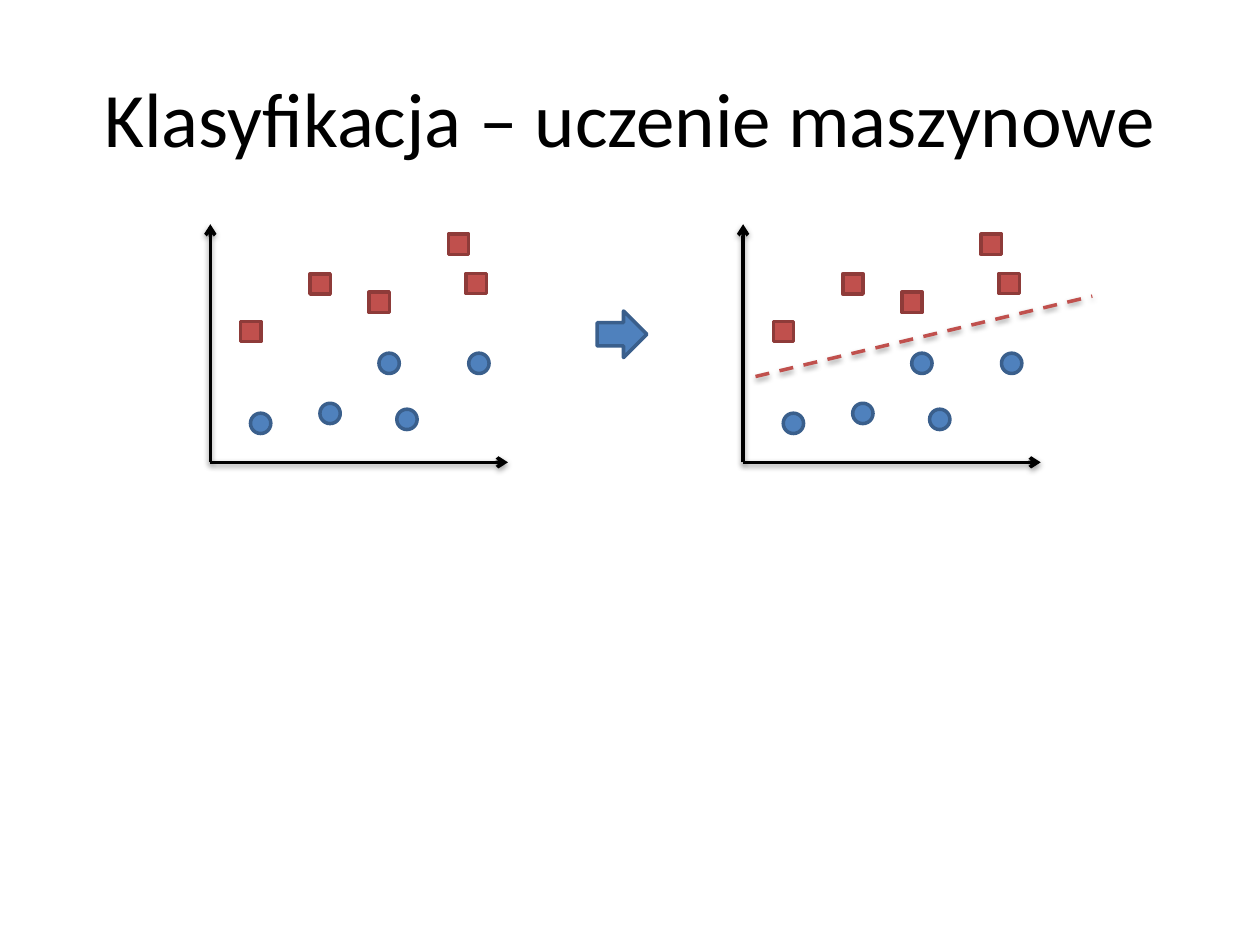
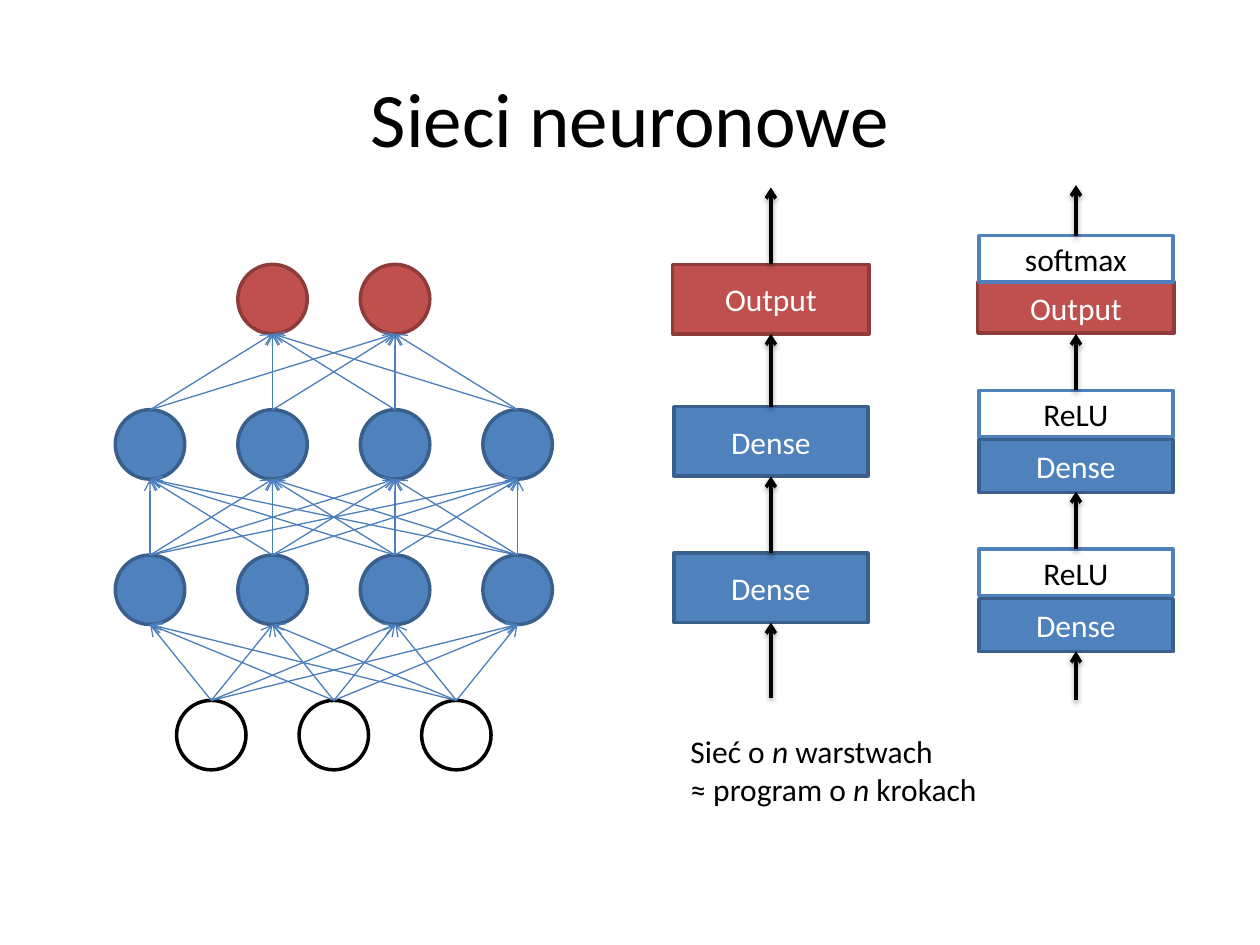
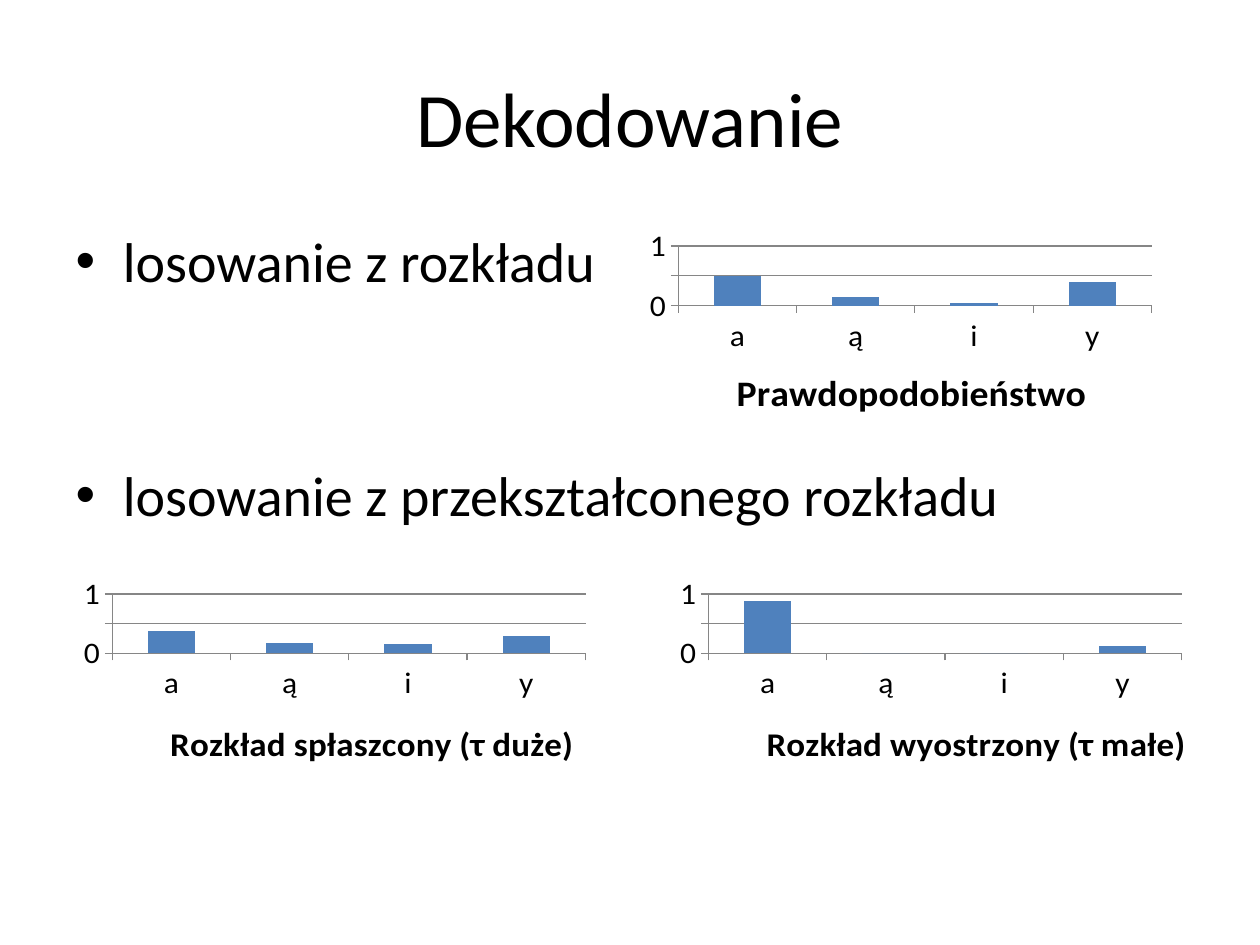
from pptx import Presentation
from pptx.chart.data import CategoryChartData
from pptx.dml.color import RGBColor
from pptx.enum.chart import XL_CHART_TYPE as CT, XL_TICK_MARK as TM
from pptx.enum.dml import MSO_LINE
from pptx.enum.shapes import MSO_CONNECTOR, MSO_SHAPE as SH
from pptx.enum.text import MSO_ANCHOR, PP_ALIGN
from pptx.oxml.ns import qn
from pptx.util import Cm, Pt
from lxml.etree import SubElement

FONT = "Calibri"
BLACK, WHITE, BLUE, RED = "000000", "FFFFFF", "4F81BD", "C0504D"
DARK_BLUE, DARK_RED, EDGE, GREY = "3A5F8C", "8E3B39", "4B7EBC", "868686"
STYLES = {
    "blue": (BLUE, DARK_BLUE, WHITE),
    "red": (RED, DARK_RED, WHITE),
    "input": (WHITE, BLACK, BLACK),
    "activation": (WHITE, BLUE, BLACK),
}

PLOT_ORIGINS = [(4.24, 9.32), (14.98, 9.32)]
AXIS_ENDS = [(6, 0), (0, -4.8)]
MARK = 0.41
CIRCLES = [(0.81, -0.99), (2.21, -1.19), (3.4, -2.2), (3.76, -1.07), (5.21, -2.2)]
SQUARES = [(0.61, -2.84), (2.01, -3.8), (3.2, -3.43), (4.8, -4.6), (5.16, -3.81)]
BOUNDARY = (0.25, -1.73), (7.04, -3.35)

LAYERS = [(2, "red"), (4, "blue"), (4, "blue"), (3, "input")]
NODE, NODE_STEP, LAYER_STEP = 1.4, 2.47, 2.93
NET_MIDDLE, NET_TOP = 6.73, 5.33

CHAINS = [
    {"middle": 15.54,
     "blocks": [("Dense", "blue", 8.2, 3.91, 1.4), ("Dense", "blue", 11.15, 3.91, 1.4),
                ("Output", "red", 5.33, 3.96, 1.4)],
     "arrows": [(14.07, 12.55), (11.15, 9.6), (8.2, 6.73), (5.33, 3.78)]},
    {"middle": 21.69,
     "blocks": [("ReLU", "activation", 11.07, 3.91, 0.94), ("Dense", "blue", 12.07, 3.91, 1.07),
                ("ReLU", "activation", 7.87, 3.91, 0.94), ("Dense", "blue", 8.86, 3.91, 1.07),
                ("Output", "red", 5.69, 3.96, 1.02), ("softmax", "activation", 4.75, 3.91, 0.94)],
     "arrows": [(14.12, 13.13), (11.07, 9.91), (7.87, 6.73), (4.75, 3.73)]},
]
NOTE = [[("Sieć o ", False), ("n", True), (" warstwach", False)],
        [("≈ program o ", False), ("n", True), (" krokach", False)]]

BULLETS = [("losowanie z rozkładu", None), ("losowanie z przekształconego rozkładu", 95)]
LETTERS = ["a", "ą", "i", "y"]
CHARTS = [
    ("Prawdopodobieństwo", "Prawdopodobieństwo", 21.6, 0.74, 12.5, 4.11, (0.5, 0.15, 0.05, 0.4)),
    ("Rozkład spłaszcony (τ duże)", "Series 1", 20, 0.77, 1.09, 11.13, (0.37, 0.18, 0.15, 0.3)),
    ("Rozkład wyostrzony (τ małe)", "Series 1", 20, 0.77, 13.11, 11.13, (0.88, 0, 0, 0.12)),
]
CHART_W, CHART_H = 11.07, 4.5


def rgb(value):
    return RGBColor.from_string(value)


def set_font(font, size, color=BLACK, **extra):
    for name, value in {"name": FONT, "size": Pt(size), **extra}.items():
        setattr(font, name, value)
    font.color.rgb = rgb(color)


def add_slide(prs, layout, title):
    s = prs.slides.add_slide(prs.slide_layouts[layout])
    tf = s.shapes.title.text_frame
    tf.text = title
    tf.vertical_anchor = MSO_ANCHOR.MIDDLE
    p = tf.paragraphs[0]
    p.alignment = PP_ALIGN.CENTER
    set_font(p.runs[0].font, 44)
    return s


def add_block(shapes, kind, x, y, w, h, style, text=""):
    fill, line, color = STYLES[style]
    sp = shapes.add_shape(kind, *map(Cm, (x, y, w, h)))
    sp.shadow.inherit = False
    sp.fill.solid()
    sp.fill.fore_color.rgb = rgb(fill)
    sp.line.color.rgb = rgb(line)
    sp.line.width = Pt(2)
    if text:
        tf = sp.text_frame
        tf.vertical_anchor = MSO_ANCHOR.MIDDLE
        p = tf.paragraphs[0]
        p.alignment = PP_ALIGN.CENTER
        r = p.add_run()
        r.text = text
        set_font(r.font, 18, color)


def add_line(shapes, start, end, color=BLACK, width=2, head=True, dash=None, shadow=True):
    c = shapes.add_connector(MSO_CONNECTOR.STRAIGHT, *map(Cm, (*start, *end)))
    c.line.color.rgb = rgb(color)
    c.line.width = Pt(width)
    if dash:
        c.line.dash_style = dash
    props = c.element.spPr
    if head:
        SubElement(props.find(qn("a:ln")), qn("a:tailEnd"), type="arrow")
    effects = SubElement(props, qn("a:effectLst"))
    if shadow:
        outer = SubElement(effects, qn("a:outerShdw"), blurRad="40000", dist="20000",
                           dir="5400000", rotWithShape="0")
        tint = SubElement(outer, qn("a:srgbClr"), val=BLACK)
        SubElement(tint, qn("a:alpha"), val="38000")


def add_scatter(s, origin, boundary=None):
    shapes = s.shapes.add_group_shape().shapes

    def place(offset):
        return origin[0] + offset[0], origin[1] + offset[1]

    for end in AXIS_ENDS:
        add_line(shapes, origin, place(end))
    for kind, style, marks in ((SH.OVAL, "blue", CIRCLES), (SH.RECTANGLE, "red", SQUARES)):
        for mark in marks:
            add_block(shapes, kind, *place(mark), MARK, MARK, style)
    if boundary:
        add_line(shapes, *map(place, boundary), color=RED, head=False, dash=MSO_LINE.DASH)


def add_network(s):
    layers = []
    for row, (count, style) in enumerate(LAYERS):
        top = NET_TOP + row * LAYER_STEP
        middles = [NET_MIDDLE + (i - (count - 1) / 2) * NODE_STEP for i in range(count)]
        layers.append((top, middles))
        shapes = s.shapes.add_group_shape().shapes
        for x in middles:
            add_block(shapes, SH.OVAL, x - NODE / 2, top, NODE, NODE, style)
    for (upper, targets), (lower, sources) in zip(layers, layers[1:]):
        for x in sources:
            for target in targets:
                add_line(s.shapes, (x, lower), (target, upper + NODE), EDGE, 0.75, shadow=False)


def add_chain(s, chain):
    shapes = s.shapes.add_group_shape().shapes
    middle = chain["middle"]
    for text, style, y, w, h in chain["blocks"]:
        add_block(shapes, SH.RECTANGLE, middle - w / 2, y, w, h, style, text)
    for start, end in chain["arrows"]:
        add_line(shapes, (middle, start), (middle, end))


def add_note(s):
    tf = s.shapes.add_textbox(*map(Cm, (13.67, 14.63, 6.5, 1.8))).text_frame
    tf.word_wrap = True
    p = tf.paragraphs[0]
    for i, line in enumerate(NOTE):
        if i:
            p.add_line_break()
        for text, italic in line:
            r = p.add_run()
            r.text = text
            set_font(r.font, 18, italic=italic)


def set_layout(parent, index, **values):
    old = parent.find(qn("c:layout"))
    if old is not None:
        parent.remove(old)
    layout = SubElement(parent, qn("c:layout"))
    parent.insert(index, layout)
    manual = SubElement(layout, qn("c:manualLayout"))
    for name, value in values.items():
        SubElement(manual, qn("c:" + name), val=str(value))


def add_bar_chart(s, title, series, size, title_y, x, y, values):
    data = CategoryChartData()
    data.categories = LETTERS
    data.add_series(series, values)
    chart = s.shapes.add_chart(CT.COLUMN_CLUSTERED, *map(Cm, (x, y, CHART_W, CHART_H)), data).chart
    set_font(chart.font, 18)
    chart.has_legend = False
    chart.has_title = True
    p = chart.chart_title.text_frame.paragraphs[0]
    r = p.add_run()
    r.text = title
    set_font(r.font, size, bold=True)
    set_layout(chart.chart_title.element, 1, xMode="edge", yMode="edge", x=0.2, y=title_y)
    set_layout(chart.element.find(".//" + qn("c:plotArea")), 0, layoutTarget="inner",
               xMode="edge", yMode="edge", x=0.106, y=0.199, w=0.862, h=0.282)

    plot = chart.plots[0]
    plot.gap_width = 150
    plot.vary_by_categories = False
    bars = plot.series[0].format.fill
    bars.solid()
    bars.fore_color.rgb = rgb(BLUE)

    scale = chart.value_axis
    for name, value in {"minimum_scale": 0, "maximum_scale": 1, "major_unit": 0.5,
                        "has_major_gridlines": True}.items():
        setattr(scale, name, value)
    for axis in (chart.category_axis, scale):
        axis.major_tick_mark = TM.OUTSIDE
        axis.minor_tick_mark = TM.NONE
    for part in (chart.category_axis, scale, scale.major_gridlines):
        part.format.line.color.rgb = rgb(GREY)
        part.format.line.width = Pt(0.75)


def main():
    prs = Presentation()
    prs.slide_width, prs.slide_height = Cm(25.4), Cm(19.05)

    s = add_slide(prs, 5, "Klasyfikacja – uczenie maszynowe")
    for origin, boundary in zip(PLOT_ORIGINS, (None, BOUNDARY)):
        add_scatter(s, origin, boundary)
    add_block(s.shapes, SH.RIGHT_ARROW, 12.04, 6.27, 1, 0.94, "blue")

    s = add_slide(prs, 5, "Sieci neuronowe")
    add_network(s)
    add_note(s)
    for chain in CHAINS:
        add_chain(s, chain)

    s = add_slide(prs, 1, "Dekodowanie")
    tf = s.placeholders[1].text_frame
    for i, (text, gap) in enumerate(BULLETS):
        p = tf.add_paragraph() if i else tf.paragraphs[0]
        r = p.add_run()
        r.text = text
        set_font(r.font, 32)
        if gap:
            p.space_before = Pt(gap)
    for chart in CHARTS:
        add_bar_chart(s, *chart)

    prs.save("out.pptx")


if __name__ == "__main__":
    main()
